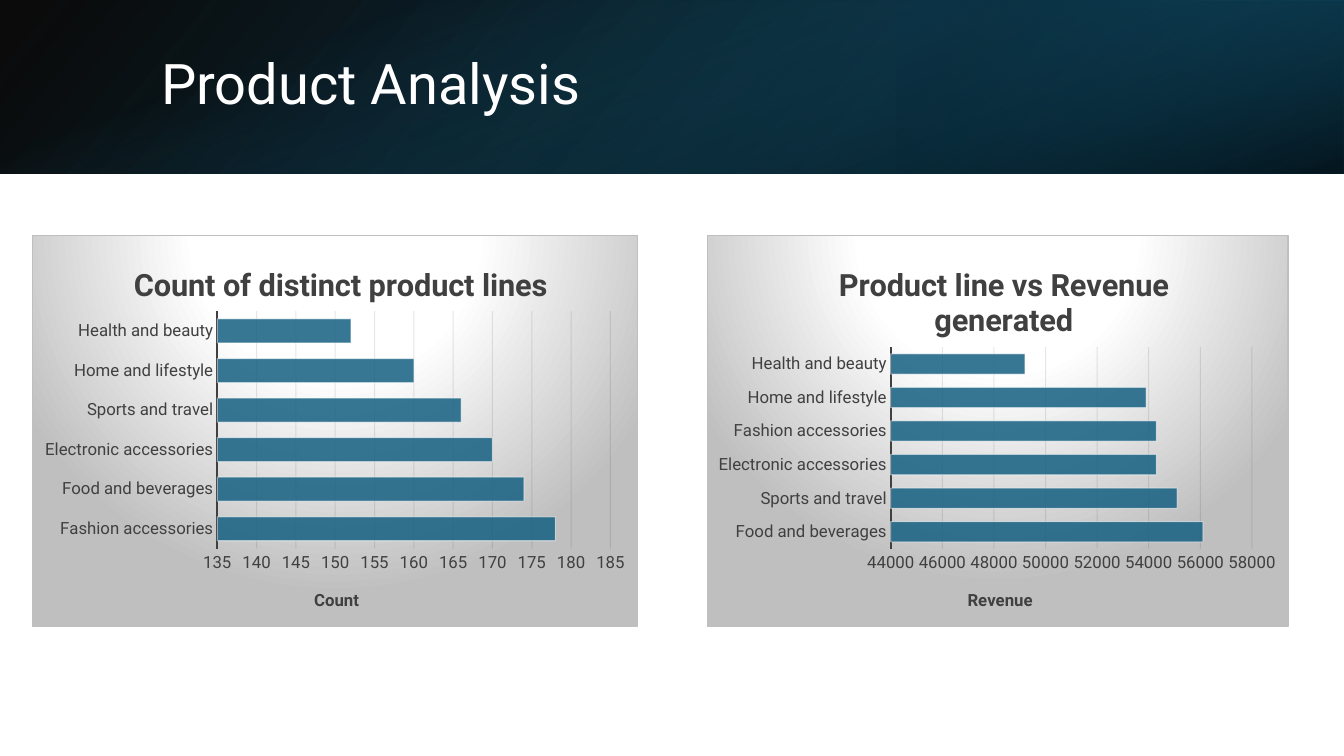
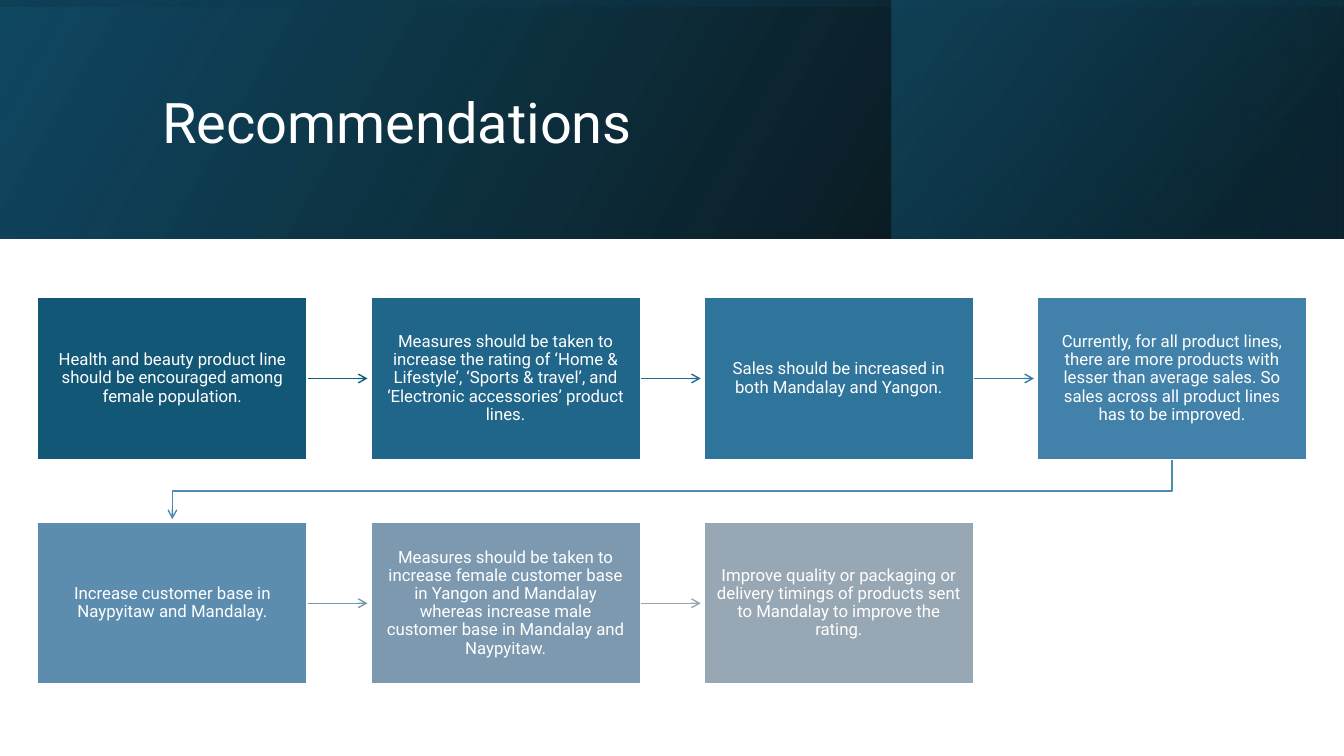
from lxml.etree import SubElement
from pptx import Presentation
from pptx.chart.data import CategoryChartData
from pptx.dml.color import RGBColor
from pptx.enum.chart import XL_CHART_TYPE, XL_TICK_MARK
from pptx.enum.shapes import MSO_CONNECTOR, MSO_SHAPE
from pptx.enum.text import MSO_ANCHOR, PP_ALIGN
from pptx.oxml import parse_xml
from pptx.oxml.ns import nsdecls, qn
from pptx.util import Inches, Pt

FONT, WHITE, DARK, SILVER, TEAL = "Roboto", "FFFFFF", "404040", "BFBFBF", "156082"
NAVY, BLACK, DEEP = "104862", "000000", "0B3041"
WIDE, HIGH = 13.33, 7.5

# Bands: box, rotation, flip, gradient stops (position, colour, opacity), angle
BASE = [(0, BLACK, 96), (100, NAVY, 100)]
HEADS = [
    {"title": "Product Analysis", "box": (1.5, 0.38, 10.98, 0.96), "bands": [
        ((0, 0, WIDE, 1.72), 0, True, BASE, 140),
        ((8.89, 0, 4.44, 1.72), 180, True, [(19, DEEP, 68), (100, TEAL, 79)], 320),
        ((5.8, -5.8, 1.72, WIDE), 90, False, [(23, TEAL, 0), (99, BLACK, 74)], 340)]},
    {"title": "Recommendations", "box": (1.51, 0.38, 10.63, 1.72), "bands": [
        ((0, 0, WIDE, 2.37), 0, True, BASE, 330),
        ((8.84, 0, 4.48, 2.37), 0, True, [(19, DEEP, 68), (100, TEAL, 48)], 320),
        ((5.48, -5.48, 2.37, WIDE), 270, True, [(23, NAVY, 16), (99, BLACK, 45)], 350)]},
]

# Charts: places inside are shares of the chart's size
CHARTS = [
    {"title": "Count of distinct product lines", "axis": "Count",
     "box": (0.32, 2.33, 6.01, 3.89), "scale": (135, 185, 5),
     "plot": (0.305, 0.194, 0.65, 0.607), "head": (0.158, 0.06), "foot": (0.46, 0.895),
     "rows": [("Fashion accessories", 178), ("Food and beverages", 174),
              ("Electronic accessories", 170), ("Sports and travel", 166),
              ("Home and lifestyle", 160), ("Health and beauty", 152)]},
    {"title": "Product line vs Revenue generated", "axis": "Revenue",
     "box": (7.01, 2.33, 5.77, 3.89), "scale": (44000, 58000, 2000),
     "plot": (0.316, 0.286, 0.622, 0.515), "head": (0.217, 0.06), "foot": (0.443, 0.895),
     "rows": [("Food and beverages", 56100), ("Sports and travel", 55100),
              ("Electronic accessories", 54300), ("Fashion accessories", 54300),
              ("Home and lifestyle", 53900), ("Health and beauty", 49200)]},
]

# Steps: text, box colour, colour of the arrow that leaves it
STEPS = [
    ("Health and beauty product line should be encouraged among female population.",
     "135776", "145C7C"),
    ("Measures should be taken to increase the rating of ‘Home & Lifestyle’, "
     "‘Sports & travel’, and ‘Electronic accessories’ product lines.", "20668A", "236C92"),
    ("Sales should be increased in both Mandalay and Yangon.", "2F749B", "377BA4"),
    ("Currently, for all product lines, there are more products with lesser than "
     "average sales. So sales across all product lines has to be improved.",
     "4281A9", "4F8AB1"),
    ("Increase customer base in Naypyitaw and Mandalay.", "5C8DAF", "7597B0"),
    ("Measures should be taken to increase female customer base in Yangon and Mandalay "
     "whereas increase male customer base in Mandalay and Naypyitaw.", "7C99B0", "97A7B4"),
    ("Improve quality or packaging or delivery timings of products sent to Mandalay "
     "to improve the rating.", "98A7B4", None),
]
COLS, LEFT, TOP = 4, 0.37, 2.95
STEP_W, STEP_H, PITCH_X, PITCH_Y = 2.68, 1.61, 3.305, 2.23
GAP = 0.03


def rgb(code):
    return RGBColor.from_string(code)


def inch(vals):
    return [Inches(v) for v in vals]


def style(font, size, color, bold=False):
    font.name, font.size, font.bold = FONT, Pt(size), bold
    font.color.rgb = rgb(color)


def put(frame, text, size=12, color=WHITE, bold=False, align=None, space=None, pad=None):
    para = frame.paragraphs[0]
    run = para.add_run()
    run.text = text
    style(run.font, size, color, bold)
    para.alignment, para.line_spacing = align, space
    if pad:
        frame.margin_left = frame.margin_right = Inches(pad[0])
        frame.margin_top = frame.margin_bottom = Inches(pad[1])


def block(frame):
    frame.word_wrap, frame.vertical_anchor = True, MSO_ANCHOR.MIDDLE


def stroke(line, color, width):
    line.color.rgb, line.width = rgb(color), Pt(width)


def fade(node, *shares):
    for clr, share in zip(node.iter(qn("a:srgbClr")), shares):
        SubElement(clr, qn("a:alpha")).set("val", str(share * 1000))


def grad(stops, way):
    marks = "".join(
        f'<a:gs pos="{pos * 1000}"><a:srgbClr val="{clr}"><a:alpha val="{op * 1000}"/>'
        f'</a:srgbClr></a:gs>' for pos, clr, op in stops)
    return (f'<a:gradFill {nsdecls("a")} rotWithShape="1"><a:gsLst>{marks}</a:gsLst>'
            f'{way}</a:gradFill>')


def header(slide, head):
    for box, turn, flip, stops, ang in head["bands"]:
        band = slide.shapes.add_shape(MSO_SHAPE.RECTANGLE, *inch(box))
        band.shadow.inherit = False
        band.rotation = turn
        band.line.fill.background()
        band.fill.background()
        props = band.element.spPr
        way = f'<a:lin ang="{ang * 60000}" scaled="0"/>'
        props.replace(props.find(qn("a:noFill")), parse_xml(grad(stops, way)))
        if flip:
            props.find(qn("a:xfrm")).set("flipH", "1")
    frame = slide.shapes.add_textbox(*inch(head["box"])).text_frame
    block(frame)
    put(frame, head["title"], size=40, space=0.9)


def layout(node, spot, inner=False):
    """Fix a chart part at shares of the chart's size."""
    old = node.find(qn("c:layout"))
    if old is not None:
        node.remove(old)
    parts = '<c:layoutTarget val="inner"/>' if inner else ""
    parts += '<c:xMode val="edge"/><c:yMode val="edge"/>'
    parts += "".join(f'<c:{key} val="{val}"/>' for key, val in zip("xywh", spot))
    new = parse_xml(f'<c:layout {nsdecls("c")}><c:manualLayout>{parts}'
                    '</c:manualLayout></c:layout>')
    node.insert(0 if inner else 1, new)


def graph(slide, item):
    data = CategoryChartData()
    data.categories = [name for name, _ in item["rows"]]
    data.add_series("Series 1", [val for _, val in item["rows"]])
    chart = slide.shapes.add_chart(
        XL_CHART_TYPE.BAR_CLUSTERED, *inch(item["box"]), data).chart
    style(chart.font, 10, BLACK)
    chart.has_legend = False
    chart.has_title = True
    put(chart.chart_title.text_frame, item["title"], size=22, color=DARK, bold=True)

    # Bars
    plot = chart.plots[0]
    plot.gap_width, plot.vary_by_categories = 65, False
    form = plot.series[0].format
    form.fill.solid()
    form.fill.fore_color.rgb = rgb(TEAL)
    stroke(form.line, WHITE, 0.75)

    # Axes
    cat, val = chart.category_axis, chart.value_axis
    for axis in (cat, val):
        axis.major_tick_mark = axis.minor_tick_mark = XL_TICK_MARK.NONE
        style(axis.tick_labels.font, 12, DARK)
    stroke(cat.format.line, DARK, 1.5)
    val.format.line.fill.background()
    val.minimum_scale, val.maximum_scale, val.major_unit = item["scale"]
    stroke(val.major_gridlines.format.line, "0D0D0D", 0.75)
    put(val.axis_title.text_frame, item["axis"], color=DARK, bold=True)

    # Opacity, places and backdrop
    root = chart.element
    fade(next(root.iter(qn("c:ser"))), 85, 50)
    fade(next(root.iter(qn("c:majorGridlines"))), 10)
    layout(next(root.iter(qn("c:plotArea"))), item["plot"], inner=True)
    for node, spot in zip(list(root.iter(qn("c:title"))), (item["head"], item["foot"])):
        layout(node, spot)
    way = ('<a:path path="circle"><a:fillToRect l="50000" t="-80000" r="50000" '
           'b="180000"/></a:path>')
    fill = grad([(0, WHITE, 100), (39, WHITE, 100), (100, SILVER, 100)], way)
    root.find(qn("c:chart")).addnext(parse_xml(
        f'<c:spPr {nsdecls("c", "a")}>{fill}<a:ln w="9525"><a:solidFill>'
        f'<a:srgbClr val="{SILVER}"/></a:solidFill></a:ln></c:spPr>'))


def arrow(shape, color):
    stroke(shape.line, color, 1)
    props = shape.element.spPr
    SubElement(props.find(qn("a:ln")), qn("a:tailEnd")).set("type", "arrow")
    SubElement(props, qn("a:effectLst"))


def flow(slide):
    spots = [(LEFT + i % COLS * PITCH_X, TOP + i // COLS * PITCH_Y)
             for i in range(len(STEPS))]
    boxes = []
    for (text, color, _), (x, y) in zip(STEPS, spots):
        box = slide.shapes.add_shape(MSO_SHAPE.RECTANGLE, *inch((x, y, STEP_W, STEP_H)))
        box.shadow.inherit = False
        box.fill.solid()
        box.fill.fore_color.rgb = rgb(color)
        stroke(box.line, WHITE, 1.5)
        block(box.text_frame)
        put(box.text_frame, text, align=PP_ALIGN.CENTER, space=0.9, pad=(0.13, 0.14))
        boxes.append(box)

    # Arrows: straight along a row, bent down to the next row
    for i, (x, y) in enumerate(spots[:-1]):
        nx, ny = spots[i + 1]
        if ny == y:
            mid = y + STEP_H / 2
            link = slide.shapes.add_connector(
                MSO_CONNECTOR.STRAIGHT, *inch((x + STEP_W, mid, nx - GAP, mid)))
            link.begin_connect(boxes[i], 3)
        else:
            low, turn = y + STEP_H, (y + STEP_H + ny) / 2
            start, end = x + STEP_W / 2, nx + STEP_W / 2
            pen = slide.shapes.build_freeform(*inch((start, low)))
            pen.add_line_segments(
                [inch(p) for p in ((start, turn), (end, turn), (end, ny - GAP))],
                close=False)
            link = pen.convert_to_shape()
            link.fill.background()
        arrow(link, STEPS[i][2])


def main():
    deck = Presentation()
    deck.slide_width, deck.slide_height = inch((WIDE, HIGH))
    slides = []
    for head in HEADS:
        slide = deck.slides.add_slide(deck.slide_layouts[6])
        header(slide, head)
        slides.append(slide)
    for item in CHARTS:
        graph(slides[0], item)
    flow(slides[1])
    deck.save("out.pptx")


if __name__ == "__main__":
    main()
